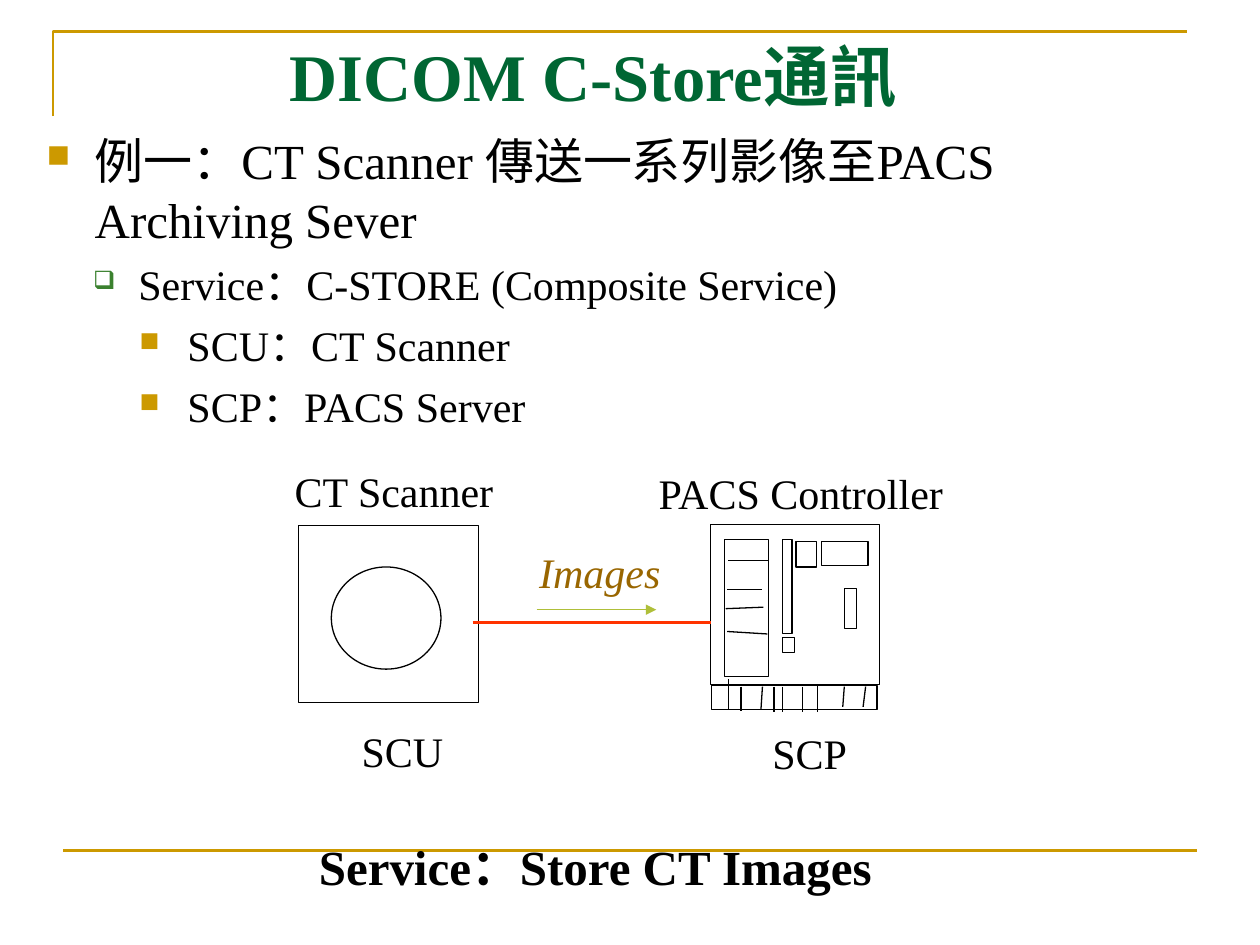
from lxml import etree
from pptx import Presentation
from pptx.dml.color import RGBColor
from pptx.enum.shapes import MSO_CONNECTOR, MSO_SHAPE
from pptx.enum.text import MSO_ANCHOR, PP_ALIGN
from pptx.oxml.ns import qn
from pptx.util import Cm, Pt

RECT, OVAL = MSO_SHAPE.RECTANGLE, MSO_SHAPE.OVAL
STRAIGHT = MSO_CONNECTOR.STRAIGHT
CENTER, LEFT = PP_ALIGN.CENTER, PP_ALIGN.LEFT
TOP, MIDDLE = MSO_ANCHOR.TOP, MSO_ANCHOR.MIDDLE
FONT = "Times New Roman"
COLORS = {
    "gold": "CC9900", "title": "006633", "black": "000000", "white": "FFFFFF",
    "green": "3B812F", "arrow": "AFBF39", "images": "996600", "red": "FF3300",
}
RGB = {name: RGBColor.from_string(value) for name, value in COLORS.items()}


def add_line(shapes, x1, y1, x2, y2, color="black", width=0.75):
    line = shapes.add_connector(STRAIGHT, Cm(x1), Cm(y1), Cm(x2), Cm(y2))
    line.line.color.rgb = RGB[color]
    line.line.width = Pt(width)
    etree.SubElement(line._element.spPr, qn("a:effectLst"))
    return line


def add_box(shapes, kind, x, y, w, h):
    sp = shapes.add_shape(kind, Cm(x), Cm(y), Cm(w), Cm(h))
    sp.shadow.inherit = False
    sp.fill.solid()
    sp.fill.fore_color.rgb = RGB["white"]
    sp.line.color.rgb = RGB["black"]
    sp.line.width = Pt(0.75)


prs = Presentation()
prs.slide_width, prs.slide_height = Cm(25.4), Cm(19.05)
s = prs.slides.add_slide(prs.slide_layouts[6])

# Gold corner and footer line
corner = s.shapes.build_freeform(Cm(1.07), Cm(2.34))
corner.add_line_segments([(Cm(1.07), Cm(0.64)), (Cm(23.93), Cm(0.64))], close=False)
sp = corner.convert_to_shape()
sp.shadow.inherit = False
sp.fill.background()
sp.line.color.rgb = RGB["gold"]
sp.line.width = Pt(1.5)
add_line(s.shapes, 1.27, 17.15, 24.13, 17.15, "gold", 1.5)

# Bulleted body: text, size, left margin, hanging indent, space before, bullet
square = ("■", "gold", 65)
body = [
    ("例一：CT Scanner 傳送一系列影像至PACS Archiving Sever", 28, 0.97, 0.97, 7, square),
    ("Service：C-STORE (Composite Service)", 24, 1.85, 0.91, 6, ("❑", "green", 60)),
    ("SCU：CT Scanner", 24, 2.84, 0.97, 6, square),
    ("SCP：PACS Server", 24, 2.84, 0.97, 6, square),
]
levels = [0, 1, 2, 2]
tf = s.shapes.add_textbox(Cm(0.69), Cm(2.51), Cm(22.86), Cm(6.81)).text_frame
tf.word_wrap = True
for i, (text, size, margin, hang, before, (char, color, percent)) in enumerate(body):
    p = tf.paragraphs[0] if i == 0 else tf.add_paragraph()
    p.level = levels[i]
    p.space_before = Pt(before)
    r = p.add_run()
    r.text = text
    for key, value in {"name": FONT, "size": Pt(size)}.items():
        setattr(r.font, key, value)
    r.font.color.rgb = RGB["black"]
    pPr = p._p.get_or_add_pPr()
    pPr.set("marL", str(Cm(margin)))
    pPr.set("indent", str(-Cm(hang)))
    bullet_color = etree.SubElement(pPr, qn("a:buClr"))
    etree.SubElement(bullet_color, qn("a:srgbClr"), val=COLORS[color])
    etree.SubElement(pPr, qn("a:buSzPct"), val=str(percent * 1000))
    etree.SubElement(pPr, qn("a:buChar"), char=char)

# CT scanner
add_box(s.shapes, RECT, 6.02, 10.59, 3.63, 3.58)
add_box(s.shapes, OVAL, 6.68, 11.43, 2.21, 2.06)

# PACS controller: board, slot, chips and edge connector
board = s.shapes.add_group_shape().shapes
for box in [
    (14.33, 10.57, 3.4, 3.23), (14.61, 10.87, 0.89, 2.77),
    (15.77, 10.87, 0.2, 1.9), (16.05, 10.92, 0.41, 0.51),
    (16.56, 10.92, 0.94, 0.48), (17.02, 11.86, 0.25, 0.81),
    (15.77, 12.85, 0.25, 0.3), (14.35, 13.82, 3.33, 0.48),
]:
    add_box(board, RECT, *box)
for slot_line in [
    (14.68, 11.3, 15.49, 11.3), (14.66, 11.89, 15.37, 11.89),
    (14.63, 12.27, 15.39, 12.24), (14.66, 12.73, 15.47, 12.78),
]:
    add_line(board, *slot_line)
for x1, x2, top, bottom in [
    (14.68, 14.68, 13.69, 14.3), (14.94, 14.94, 13.84, 14.33),
    (15.37, 15.34, 13.84, 14.3), (15.6, 15.6, 13.84, 14.35),
    (15.77, 15.77, 13.84, 14.35), (16.18, 16.18, 13.84, 14.35),
    (16.48, 16.48, 13.79, 14.35), (17.02, 16.99, 13.84, 14.25),
    (17.45, 17.4, 13.84, 14.25),
]:
    add_line(board, x1, top, x2, bottom)

# Network link and direction of the images
add_line(s.shapes, 9.53, 12.55, 14.33, 12.55, "red", 1.5)
arrow = add_line(s.shapes, 10.82, 12.29, 13.23, 12.29, "arrow")
etree.SubElement(arrow.line._get_or_add_ln(), qn("a:tailEnd"), type="triangle")

# Title, labels and caption
bold, italic, plain = {"bold": True}, {"italic": True}, {}
for text, (x, y, w, h), size, color, style, align, anchor, before in [
    ("DICOM C-Store通訊", (1.7, 0.33, 20.52, 2.36), 38, "title", bold, CENTER, MIDDLE, 0),
    ("CT Scanner", (5.69, 9.25, 4.72, 1.52), 24, "black", plain, LEFT, TOP, 0),
    ("PACS Controller", (13.03, 9.3, 6.71, 0.99), 24, "black", plain, LEFT, TOP, 0),
    ("Images", (10.62, 10.9, 3.3, 1.27), 24, "images", italic, LEFT, TOP, 15),
    ("SCU", (7.04, 14.5, 3.33, 1.52), 24, "black", plain, LEFT, TOP, 0),
    ("SCP", (15.32, 14.55, 2.9, 1.52), 24, "black", plain, LEFT, TOP, 0),
    ("Service：Store CT Images", (4.9, 16.74, 14.2, 1.5), 28, "black", bold, CENTER, TOP, 0),
]:
    tf = s.shapes.add_textbox(Cm(x), Cm(y), Cm(w), Cm(h)).text_frame
    tf.word_wrap = True
    tf.vertical_anchor = anchor
    p = tf.paragraphs[0]
    p.alignment = align
    p.space_before = Pt(before)
    r = p.add_run()
    r.text = text
    for key, value in {"name": FONT, "size": Pt(size), **style}.items():
        setattr(r.font, key, value)
    r.font.color.rgb = RGB[color]

prs.save("out.pptx")
